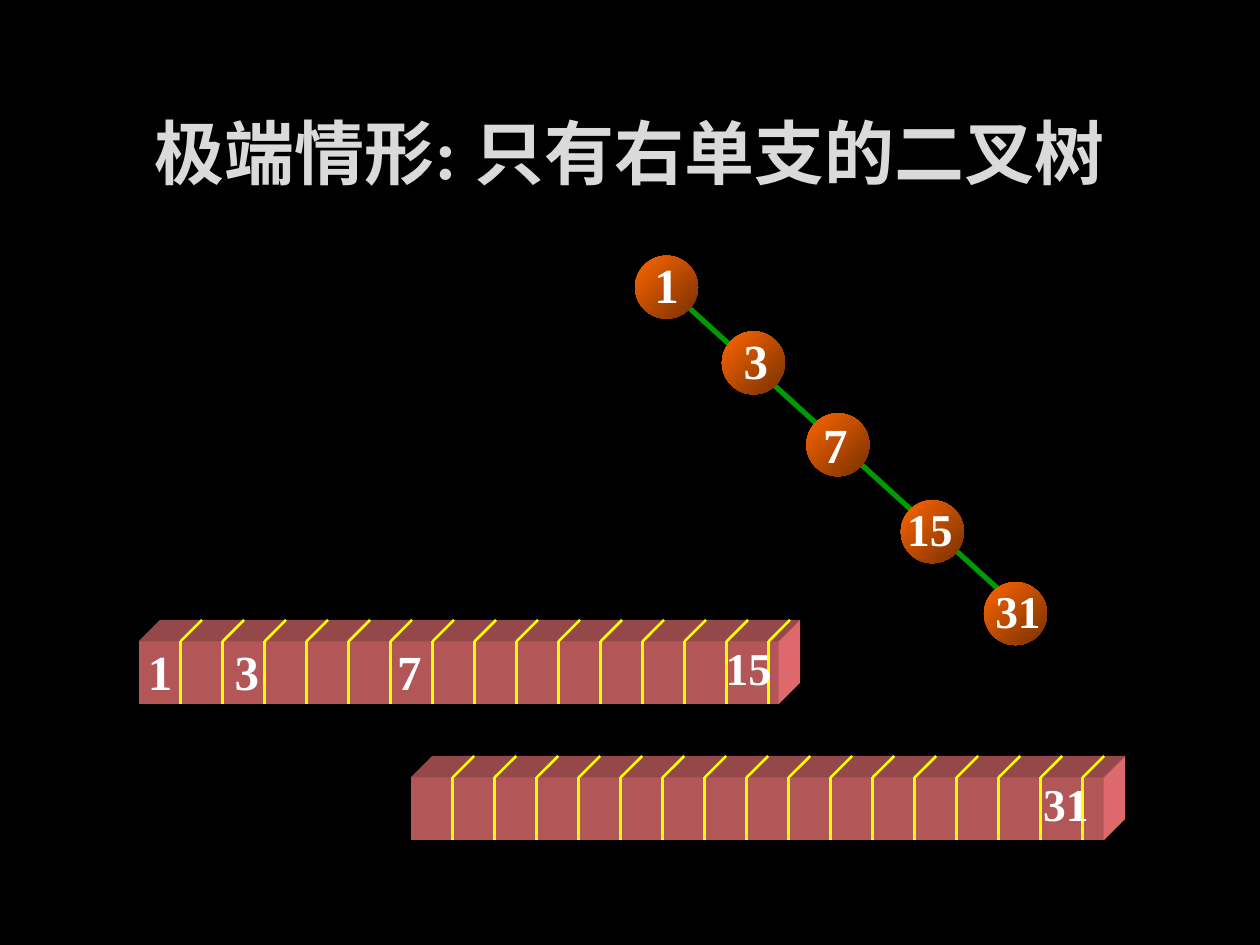
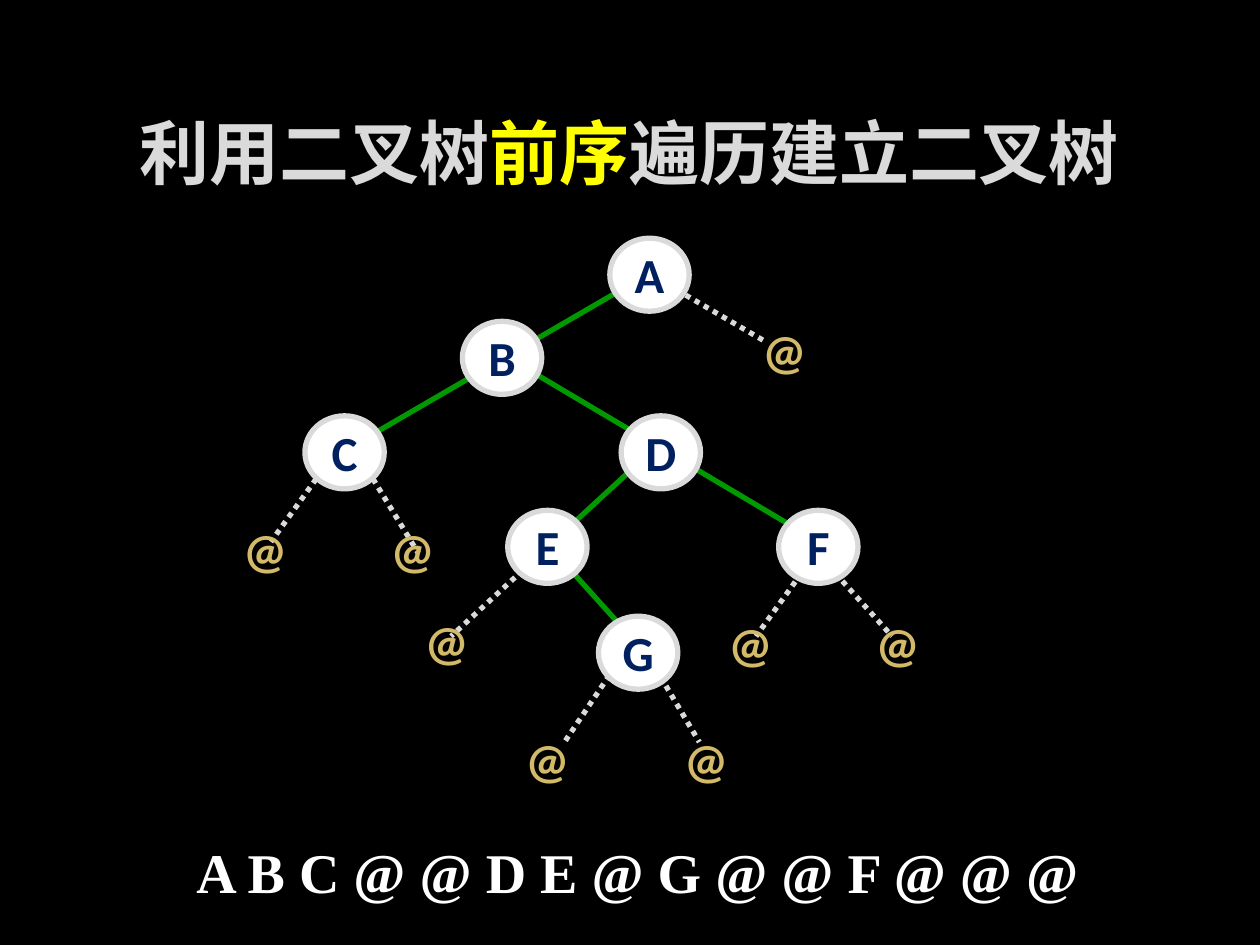
"""Build two slides on sequential storage and preorder creation of binary trees."""
from lxml import etree
from pptx import Presentation
from pptx.dml.color import RGBColor
from pptx.enum import dml, shapes, text
from pptx.oxml import ns
from pptx.util import Inches, Pt

HUES = {
    "back": "000000", "title": "DADADA", "mark": "FFFF00", "white": "FFFFFF",
    "edge": "009900", "glow": "FF6600", "shade": "763000", "front": "B25658",
    "top": "95484A", "side": "DE696C", "navy": "002060", "gold": "D3BA68",
}
RGB = {name: RGBColor.from_string(code) for name, code in HUES.items()}
SERIF = "Times New Roman"


def link(page, start, end, hue, width, dash=None):
    line = page.shapes.add_connector(
        shapes.MSO_CONNECTOR.STRAIGHT, *[Inches(n) for n in (*start, *end)])
    line.line.color.rgb = RGB[hue]
    line.line.width = Pt(width)
    if dash:
        line.line.dash_style = dash
    etree.SubElement(line._element.spPr, ns.qn("a:effectLst"))


def label(page, words, box, size, hue="white", face=SERIF):
    frame = page.shapes.add_textbox(*[Inches(n) for n in box]).text_frame
    frame.word_wrap = False
    frame.vertical_anchor = text.MSO_ANCHOR.MIDDLE
    frame.text = words
    para = frame.paragraphs[0]
    para.alignment = text.PP_ALIGN.CENTER
    font = para.runs[0].font
    font.name, font.size, font.bold = face, Pt(size), True
    font.color.rgb = RGB[hue]
    return para


deck = Presentation()
deck.slide_width, deck.slide_height = Inches(10), Inches(7.5)
fill = deck.slide_master.background.fill
fill.solid()
fill.fore_color.rgb = RGB["back"]

heads = [
    [("极端情形: 只有右单支的二叉树", "title")],
    [("利用二叉树", "title"), ("前序", "mark"), ("遍历建立二叉树", "title")],
]
pages = []
for parts in heads:
    page = deck.slides.add_slide(deck.slide_layouts[5])
    title = page.shapes.title
    title.left, title.top = Inches(0.75), Inches(0.67)
    title.width, title.height = Inches(8.49), Inches(1.06)
    title.text_frame.auto_size = text.MSO_AUTO_SIZE.NONE
    title.text_frame.vertical_anchor = text.MSO_ANCHOR.MIDDLE
    para = title.text_frame.paragraphs[0]
    para.alignment = text.PP_ALIGN.CENTER
    for words, hue in parts:
        run = para.add_run()
        run.text = words
        run.font.name, run.font.size, run.font.bold = SERIF, Pt(40), True
        run.font.color.rgb = RGB[hue]
    pages.append(page)
chain, tree = pages

link(chain, (5.4, 2.38), (8.06, 4.8), "edge", 3)
balls = [
    ("1", 5.04, 2.03, (5.09, 1.97)), ("3", 5.73, 2.63, (5.8, 2.57)),
    ("7", 6.4, 3.28, (6.43, 3.24)), ("15", 7.15, 3.97, (7.1, 3.93)),
    ("31", 7.81, 4.62, (7.8, 4.58)),
]
for words, x, y, spot in balls:
    ball = chain.shapes.add_shape(
        shapes.MSO_SHAPE.OVAL, Inches(x), Inches(y), Inches(0.5), Inches(0.5))
    ball.shadow.inherit = False
    ball.line.fill.background()
    ball.fill.gradient()
    ball.fill.gradient_angle = 315
    for stop, hue in zip(ball.fill.gradient_stops, ("glow", "shade")):
        stop.color.rgb = RGB[hue]
    size, span = ((0.4, 0.57), 28) if len(words) == 1 else ((0.56, 0.53), 26)
    label(chain, words, (*spot, *size), span)

DEEP, TALL, STEP = 0.17, 0.5, 1 / 3
bars = [
    (1.1, 5.09, 5.08, 15, [("1", 1.07), ("3", 1.76), ("7", 3.05), ("15", 5.66)]),
    (3.26, 6.17, 5.5, 16, [("31", 8.18)]),
]
for left, top, wide, count, marks in bars:
    right, base = left + wide, top + TALL
    faces = {
        "front": [(left, top), (right, top), (right, base), (left, base)],
        "top": [(left, top), (left + DEEP, top - DEEP),
                (right + DEEP, top - DEEP), (right, top)],
        "side": [(right, top), (right + DEEP, top - DEEP),
                 (right + DEEP, base - DEEP), (right, base)],
    }
    for hue, dots in faces.items():
        dots = [(Inches(x), Inches(y)) for x, y in dots]
        path = chain.shapes.build_freeform(*dots[0])
        path.add_line_segments(dots[1:], close=True)
        face = path.convert_to_shape()
        face.shadow.inherit = False
        face.fill.solid()
        face.fill.fore_color.rgb = RGB[hue]
        face.line.fill.background()
    for n in range(1, count + 1):
        x = left + n * STEP
        link(chain, (x, top), (x, base), "mark", 1.5)
        link(chain, (x, top), (x + DEEP, top - DEEP), "mark", 1.5)
    for words, x in marks:
        if len(words) == 1:
            label(chain, words, (x, top - 0.05, 0.4, 0.57), 28)
        else:
            label(chain, words, (x, top - 0.06, 0.56, 0.53), 26)

dots = [
    ((4.21, 4.47), (3.58, 5.05)), ((4.93, 5.22), (4.48, 5.89)),
    ((5.2, 5.3), (5.55, 5.89)), ((2.51, 3.8), (2.15, 4.3)),
    ((2.96, 3.8), (3.32, 4.39)), ((6.63, 4.55), (7.08, 5.05)),
    ((5.37, 2.3), (6.09, 2.72)), ((6.36, 4.55), (6, 5.05)),
]
for start, end in dots:
    link(tree, start, end, "title", 3, dml.MSO_LINE.ROUND_DOT)
edges = [
    ((4.48, 4.47), (4.93, 4.97)), ((5.02, 3.72), (4.39, 4.3)),
    ((4.12, 2.89), (6.36, 4.22)), ((4.93, 2.3), (2.78, 3.55)),
]
for start, end in edges:
    link(tree, start, end, "edge", 3)

nodes = {
    "A": (4.84, 1.89), "B": (3.67, 2.55), "C": (2.42, 3.3), "D": (4.93, 3.3),
    "E": (4.03, 4.05), "G": (4.75, 4.89), "F": (6.18, 4.05),
}
for words, (x, y) in nodes.items():
    node = tree.shapes.add_shape(
        shapes.MSO_SHAPE.OVAL, Inches(x), Inches(y), Inches(0.63), Inches(0.58))
    node.shadow.inherit = False
    node.fill.solid()
    node.fill.fore_color.rgb = RGB["white"]
    node.line.color.rgb = RGB["title"]
    node.line.width = Pt(3)
    label(tree, words, (x, y, 0.63, 0.57), 28, "navy", "Calibri")

ends = [
    (1.79, 4.07), (2.96, 4.07), (3.23, 4.8), (4.03, 5.74),
    (5.29, 5.74), (5.64, 4.82), (6.81, 4.82), (5.91, 2.49),
]
for spot in ends:
    label(tree, "@", (*spot, 0.63, 0.57), 28, "gold", "Calibri")
order = label(tree, "A B C @ @ D E @ G @ @ F @ @ @", (1.43, 6.54, 7.26, 0.69), 32)
order.line_spacing = 1.1

deck.save("out.pptx")
